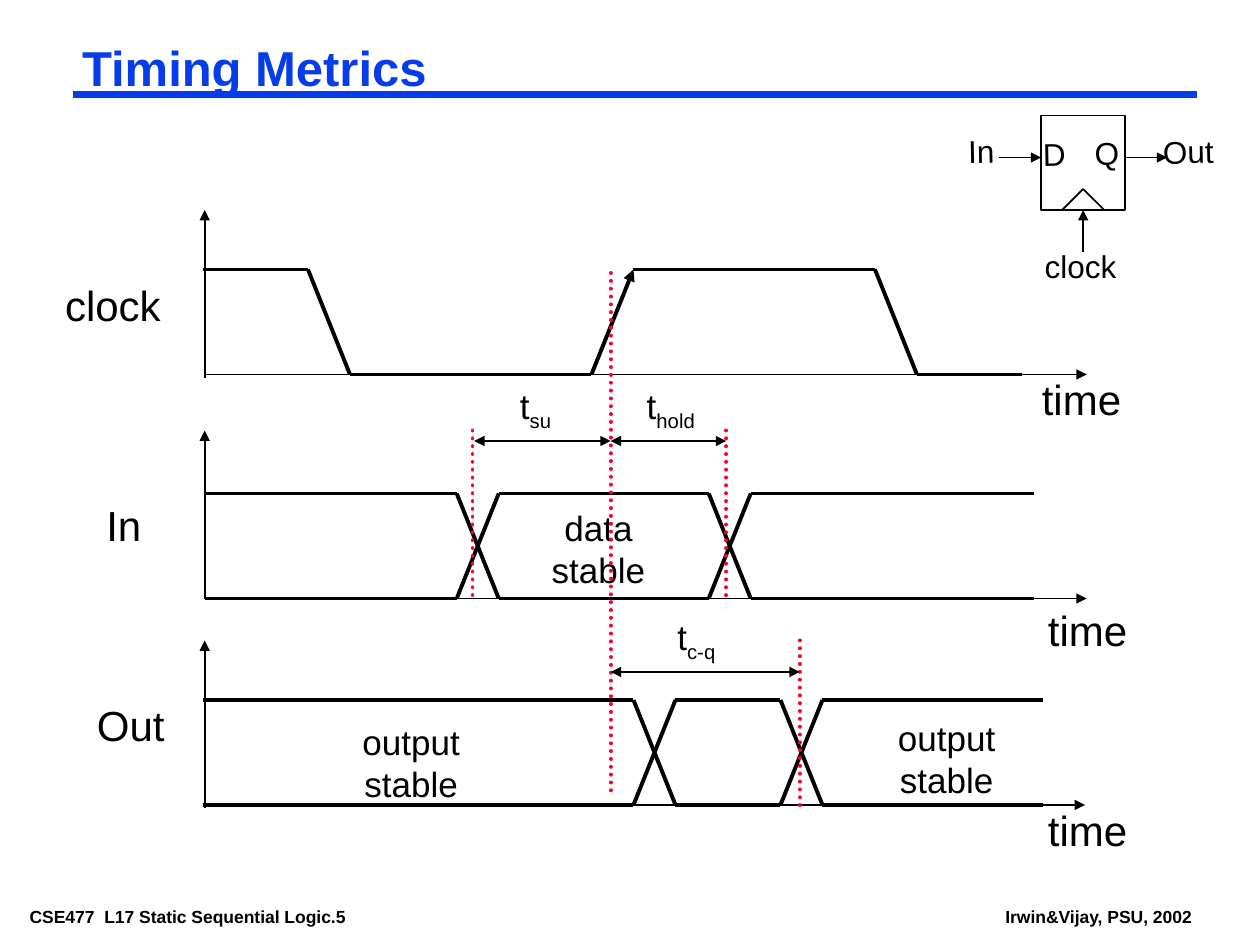
from itertools import pairwise
from lxml.etree import SubElement
from pptx import Presentation
from pptx.dml.color import RGBColor
from pptx.enum.dml import MSO_LINE
from pptx.enum.shapes import MSO_CONNECTOR as CONN, MSO_SHAPE as SHAPE
from pptx.enum.text import PP_ALIGN as ALIGN
from pptx.oxml.ns import qn
from pptx.util import Pt

COLORS = {"ink": "000000", "title": "063DE8", "marker": "FC0128"}
THIN, THICK = 1, 2.25
AXIS_X = 117
EDGE = 24    # width of a signal transition
SWING = 60   # height between low and high level


def rgb(name):
    return RGBColor.from_string(COLORS[name])


def add_line(s, x1, y1, x2, y2, width=THIN, color="ink", ends=(), dotted=False):
    c = s.shapes.add_connector(CONN.STRAIGHT, Pt(x1), Pt(y1), Pt(x2), Pt(y2))
    c.line.width = Pt(width)
    c.line.color.rgb = rgb(color)
    ln = c.line._get_or_add_ln()
    if dotted:
        c.line.dash_style = MSO_LINE.ROUND_DOT
        ln.set("cap", "rnd")
    for end in ends:
        SubElement(ln, qn(f"a:{end}"), type="triangle")
    SubElement(c._element.spPr, qn("a:effectLst"))


def add_text(s, x, y, w, h, text, size, color="ink", bold=False,
             align=ALIGN.CENTER, inset=(7.2, 3.6), wrap=False, sub=None,
             rotation=0, spacing=None):
    box = s.shapes.add_textbox(Pt(x), Pt(y), Pt(w), Pt(h))
    box.rotation = rotation
    tf = box.text_frame
    tf.word_wrap = wrap
    tf.margin_left = tf.margin_right = Pt(inset[0])
    tf.margin_top = tf.margin_bottom = Pt(inset[1])
    tf.text = text
    if sub:
        r = tf.paragraphs[0].add_run()
        r.text = sub
        r._r.get_or_add_rPr().set("baseline", "-25000")
    for p in tf.paragraphs:
        p.alignment = align
        p.line_spacing = spacing
        p.font.name = "Arial"
        p.font.size = Pt(size)
        p.font.bold = bold
        p.font.color.rgb = rgb(color)


def add_axes(s, base, bottom, right=621):
    add_line(s, AXIS_X, bottom, AXIS_X, bottom - 96, ends=["tailEnd"])
    add_line(s, right - 504, base, right, base, ends=["tailEnd"])


def add_clock_wave(s, base):
    high = base - SWING
    points = [(116, high), (176, high), (200, base), (338, base),
              (362, high), (500, high), (524, base), (584, base)]
    for (x1, y1), (x2, y2) in pairwise(points):
        rising = y2 < y1
        add_line(s, x1, y1, x2, y2, THICK, ends=["tailEnd"] if rising else ())


def add_bus_wave(s, base, start, crossings, end):
    """Two parallel levels that swap at each crossing."""
    high = base - SWING
    lefts = [start] + [x + EDGE for x in crossings]
    for x1, x2 in zip(lefts, crossings + [end]):
        for y in (high, base):
            add_line(s, x1, y, x2, y, THICK)
    for x in crossings:
        add_line(s, x, high, x + EDGE, base, THICK)
        add_line(s, x, base, x + EDGE, high, THICK)


def add_marker(s, x, top, bottom):
    add_line(s, x, top, x, bottom, THICK, "marker", dotted=True)


def add_interval(s, x1, x2, y, label_x, label_w, sub):
    add_text(s, label_x, y - 36, label_w, 34.6, "t", 20, align=ALIGN.LEFT, sub=sub)
    add_line(s, x1, y, x2, y, ends=["headEnd", "tailEnd"])


def add_flip_flop(s):
    body = s.shapes.add_shape(SHAPE.RECTANGLE, Pt(595), Pt(66), Pt(48), Pt(54))
    body.shadow.inherit = False
    body.fill.background()
    body.line.color.rgb = rgb("ink")
    body.line.width = Pt(THIN)
    # Clock input with its notch
    add_line(s, 619, 144, 619, 120, ends=["tailEnd"])
    for x in (607, 631):
        add_line(s, 619, 108, x, 120)
    # Data input and output
    for x in (571, 643):
        add_line(s, x, 90, x + 24, 90, ends=["tailEnd"])
    add_text(s, 586.5, 137.5, 62, 29, "clock", 18)
    for text, x, y, w in [("D", 587, 73.5, 31), ("Q", 616.5, 73, 32),
                          ("In", 544, 72, 33.5), ("Out", 654, 72, 50)]:
        add_text(s, x, y, w, 29, text, 18, rotation=358.9)


def main():
    prs = Presentation()
    prs.slide_width, prs.slide_height = Pt(720), Pt(540)
    s = prs.slides.add_slide(prs.slide_layouts[6])

    # Footer and title
    small = dict(bold=True, align=ALIGN.LEFT, inset=(5, 2))
    add_text(s, 12, 516, 233, 16, "CSE477  L17 Static Sequential Logic.5", 10, **small)
    add_text(s, 569.5, 516, 117.5, 16, "Irwin&Vijay, PSU, 2002", 10, **small)
    add_line(s, 42, 54, 684, 54, 4.5, "title")
    add_text(s, 42, 24, 642, 33, "Timing Metrics", 28, "title", wrap=True,
             spacing=0.87, **small)

    # Axes and waveforms
    add_axes(s, 214, 216)
    add_axes(s, 342, 342)
    add_axes(s, 460, 462, right=620)
    add_clock_wave(s, 214)
    add_bus_wave(s, 342, AXIS_X, [261, 405], 591)
    add_bus_wave(s, 460, 116, [362, 446], 596)

    # Signal, axis and state labels
    for text, x, y, w in [("clock", 29, 156, 71), ("In", 52.5, 282, 36.5),
                          ("Out", 47, 396, 55.5), ("time", 587, 210, 62),
                          ("time", 590.5, 342, 62), ("time", 590.5, 456, 62)]:
        add_text(s, x, y, w, 36, text, 24)
    for text, x, y, w in [("data\nstable", 307, 286, 70),
                          ("output\nstable", 199, 408, 72),
                          ("output\nstable", 505, 406, 72)]:
        add_text(s, x, y, w, 55.5, text, 20)

    add_flip_flop(s)

    # Timing markers and intervals
    for x, top, bottom in [(270, 246, 342), (349, 156, 456),
                           (415, 246, 342), (457, 366, 462)]:
        add_marker(s, x, top, bottom)
    add_interval(s, 271, 349, 252, 290, 32.5, "su")
    add_interval(s, 349, 415, 252, 362.5, 42, "hold")
    add_interval(s, 349, 457, 384, 380, 36, "c-q")

    prs.save("out.pptx")


if __name__ == "__main__":
    main()
